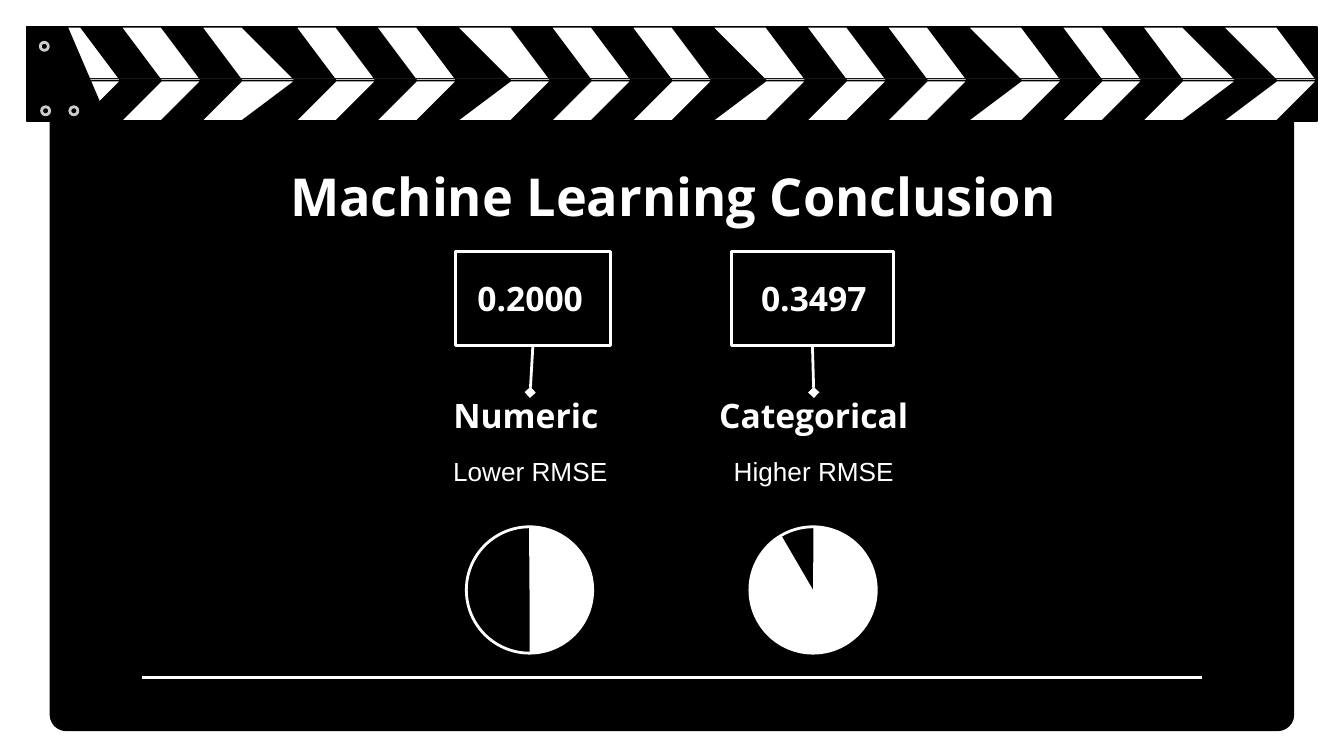
"""Build the clapperboard slide that compares the RMSE of two models."""
from dataclasses import dataclass

from lxml.etree import SubElement
from pptx import Presentation
from pptx.dml.color import RGBColor
from pptx.enum.shapes import MSO_CONNECTOR, MSO_SHAPE
from pptx.enum.text import MSO_ANCHOR, PP_ALIGN
from pptx.oxml.ns import qn
from pptx.util import Inches, Pt


@dataclass(frozen=True)
class Theme:
    board: str = "000000"
    chalk: str = "FFFFFF"
    seam: str = "171717"
    rivet: str = "CCCCCC"
    heading_font: str = "Open Sans"
    body_font: str = "Arial"
    title_size: int = 28
    heading_size: int = 18
    body_size: int = 14
    thin: float = 0.75
    thick: float = 1.5


theme = Theme()
deck = Presentation()
deck.slide_width = Inches(10)
deck.slide_height = deck.slide_width * 9 // 16
page = deck.slides.add_slide(deck.slide_layouts[6])
CELL = deck.slide_width // 100


def paint(shape, fill=None, line=None, width=theme.thin):
    shape.shadow.inherit = False
    for target, color in ((shape.fill, fill), (shape.line.fill, line)):
        if color:
            target.solid()
            target.fore_color.rgb = RGBColor.from_string(color)
        else:
            target.background()
    if line:
        shape.line.width = Pt(width)
    return shape


def draw_line(start, end, color, width):
    points = [round(value * CELL) for value in (*start, *end)]
    connector = page.shapes.add_connector(MSO_CONNECTOR.STRAIGHT, *points)
    connector.line.color.rgb = RGBColor.from_string(color)
    connector.line.width = Pt(width)
    SubElement(connector._element.spPr, qn("a:effectLst"))
    return connector


# All lengths below are counted in square cells, 100 to the slide's width.
left, right, top, middle, bottom = 2.1, 97.9, 2.3, 5.85, 9.4
pitch, half = 6.35, 3.2

board = page.shapes.add_shape(
    MSO_SHAPE.ROUNDED_RECTANGLE,
    *(round(value * CELL) for value in (3.7, 7.2, 92.6, 47.2)))
board.adjustments[0] = 0.026
paint(board, theme.board)

outlines = []
for edge in (top, bottom):
    outlines.append((theme.board, [(left, edge), (left, middle), (right, middle), (right, edge)]))
    for stripe in range(15):
        x = 2.6 + stripe * pitch
        outlines.append((theme.chalk, [(x, edge), (x + half, middle),
                                       (x + 2 * half, middle), (x + half, edge)]))
hinge = [(left, top), (left, bottom), (7.5, bottom), (4.9, top)]
outlines.append((theme.board, hinge))

for color, points in outlines:
    if points is hinge:
        draw_line((left, middle), (right, middle), theme.seam, theme.thin)
    builder = page.shapes.build_freeform(*points[0], scale=CELL)
    builder.add_line_segments(points[1:], close=True)
    paint(builder.convert_to_shape(), color, theme.board)

for x, y in ((3, 3.15), (3.1, 7.95), (5.2, 7.95)):
    rivet = page.shapes.add_shape(
        MSO_SHAPE.OVAL, *(round(value * CELL) for value in (x, y, 0.6, 0.6)))
    paint(rivet, theme.board, theme.rivet, theme.thick)

frames = []
for x, width in ((33.9, 11.5), (54.4, 12.1)):
    frame = page.shapes.add_shape(
        MSO_SHAPE.RECTANGLE, *(round(value * CELL) for value in (x, 18.7, width, 7)))
    frames.append(paint(frame, line=theme.chalk, width=theme.thick))

texts = [("Machine Learning Conclusion", 7.9, 11.4, 84.3, 6.3,
          theme.title_size, theme.heading_font, True)]
for x, score, label, verdict in ((28.9, "0.2000", "Numeric ", "Lower RMSE"),
                                 (50, "0.3497", "Categorical", "Higher RMSE")):
    texts += [
        (score, x, 20.1, 21.1, 4.2, theme.heading_size, theme.heading_font, True),
        (verdict, x, 32.7, 21.1, 4.7, theme.body_size, theme.body_font, False),
        (label, x, 29.2, 21.1, 3.4, theme.heading_size, theme.heading_font, True),
    ]

boxes = []
for words, x, y, width, height, size, font, bold in texts:
    box = page.shapes.add_textbox(*(round(value * CELL) for value in (x, y, width, height)))
    frame = box.text_frame
    frame.word_wrap = True
    frame.vertical_anchor = MSO_ANCHOR.MIDDLE
    frame.margin_left = frame.margin_right = frame.margin_top = frame.margin_bottom = CELL
    para = frame.paragraphs[0]
    para.alignment = PP_ALIGN.CENTER
    span = para.add_run()
    span.text = words
    span.font.name = font
    span.font.size = Pt(size)
    span.font.bold = bold
    span.font.color.rgb = RGBColor.from_string(theme.chalk)
    boxes.append(box)

for label, frame in zip(boxes[3::3], frames):
    pin = draw_line((0, 0), (1, 1), theme.chalk, theme.thick)
    pin.begin_connect(label, 0)
    pin.end_connect(frame, 2)
    SubElement(pin.line._get_or_add_ln(), qn("a:headEnd"), type="diamond")

for x, turn, angles in ((34.7, 180, (53.73, 162)), (55.8, 0, (162.25, 143.88))):
    place = [round(value * CELL) for value in (x, 39.2, 9.4, 9.4)]
    ring = page.shapes.add_shape(MSO_SHAPE.OVAL, *place)
    paint(ring, line=theme.chalk, width=theme.thick)
    pie = page.shapes.add_shape(MSO_SHAPE.PIE, *place)
    pie.rotation = turn
    pie.adjustments[0], pie.adjustments[1] = angles
    paint(pie, theme.chalk)

draw_line((10.6, 50.4), (89.4, 50.4), theme.chalk, theme.thick)

deck.save("out.pptx")
